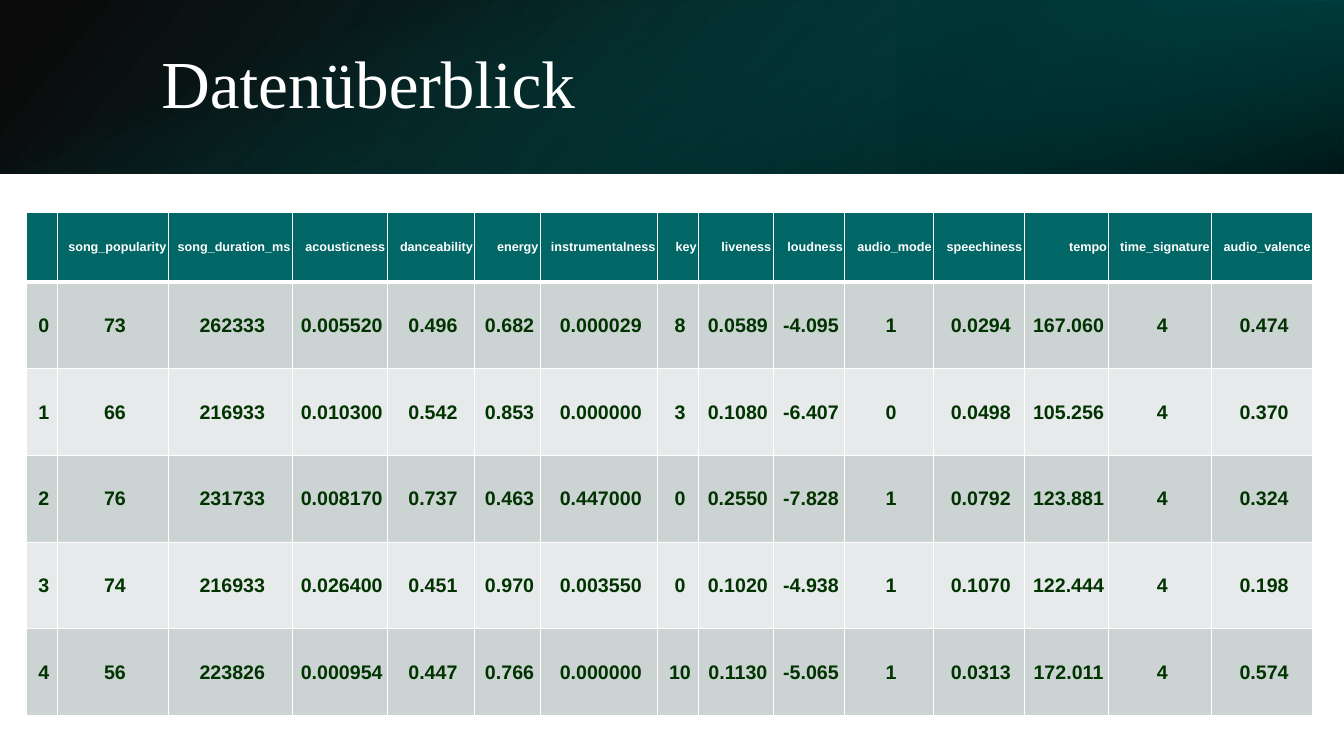
import dataclasses

import lxml.etree
import pptx
import pptx.dml.color
import pptx.enum.shapes
import pptx.enum.text
import pptx.oxml.ns
import pptx.util

Inches = pptx.util.Inches
Pt = pptx.util.Pt
RGB = pptx.dml.color.RGBColor.from_string
qn = pptx.oxml.ns.qn
ALIGN = pptx.enum.text.PP_ALIGN
MIDDLE = pptx.enum.text.MSO_ANCHOR.MIDDLE


@dataclasses.dataclass(frozen=True)
class Theme:
    white: str = "FFFFFF"
    black: str = "000000"
    teal: str = "006666"
    mid_teal: str = "004C4D"
    deep_teal: str = "003333"
    dark_row: str = "CCD3D3"
    light_row: str = "E7EAEA"
    value_text: str = "003300"
    title_font: str = "Times New Roman"
    table_font: str = "Arial"
    title_size: int = 48
    header_size: int = 9
    value_size: int = 14


theme = Theme()


def style_text(paragraph, font_name, size, color, bold):
    for run in paragraph.runs:
        run.font.name = font_name
        run.font.size = Pt(size)
        run.font.bold = bold
        run.font.color.rgb = RGB(color)


def add_border(cell, side, width):
    line = lxml.etree.SubElement(cell._tc.get_or_add_tcPr(), qn(f"a:ln{side}"), w=str(Pt(width)))
    fill = lxml.etree.SubElement(line, qn("a:solidFill"))
    lxml.etree.SubElement(fill, qn("a:srgbClr"), val=theme.white)


presentation = pptx.Presentation()
presentation.slide_width = Inches(13.33)
presentation.slide_height = Inches(7.5)
slide = presentation.slides.add_slide(presentation.slide_layouts[5])

# Header band: layered gradients as (box, rotation, flipped, clockwise angle, stops)
# with each stop given as (position, colour, opacity in percent)
band_layers = [
    ((0, 0, 13.33, 1.72), 0, True, 140,
     [(0, theme.black, 96), (100, theme.mid_teal, 100)]),
    ((8.89, 0, 4.44, 1.72), 180, True, 320,
     [(19, theme.deep_teal, 68), (100, theme.teal, 79)]),
    ((5.8, -5.8, 1.72, 13.33), 90, False, 340,
     [(23, theme.teal, 0), (99, theme.black, 74)]),
]
for box, rotation, flipped, angle, stops in band_layers:
    layer = slide.shapes.add_shape(
        pptx.enum.shapes.MSO_SHAPE.RECTANGLE, *[Inches(length) for length in box])
    layer.shadow.inherit = False
    layer.line.fill.background()
    layer.rotation = rotation
    if flipped:
        layer.element.spPr.find(qn("a:xfrm")).set("flipH", "1")
    layer.fill.gradient()
    layer.fill.gradient_angle = 360 - angle
    for stop, (position, color, opacity) in zip(layer.fill.gradient_stops, stops):
        stop.position = position / 100
        stop.color.rgb = RGB(color)
    for color_node, (_, _, opacity) in zip(layer.element.spPr.iter(qn("a:srgbClr")), stops):
        lxml.etree.SubElement(color_node, qn("a:alpha"), val=str(opacity * 1000))

# Title, brought in front of the band
title = slide.shapes.title
title.element.getparent().append(title.element)
title.left, title.top = Inches(1.5), Inches(0.38)
title.width, title.height = Inches(10.98), Inches(0.96)
title.text_frame.text = "Datenüberblick"
title.text_frame.word_wrap = True
title.text_frame.auto_size = pptx.enum.text.MSO_AUTO_SIZE.NONE
title.text_frame.vertical_anchor = MIDDLE
heading = title.text_frame.paragraphs[0]
heading.alignment = ALIGN.LEFT
heading.line_spacing = 0.9
style_text(heading, theme.title_font, theme.title_size, theme.white, False)

# Song data: column name, width, one value per song
song_columns = [
    ("", 0.31, ["0", "1", "2", "3", "4"]),
    ("song_popularity", 1.1, ["73", "66", "76", "74", "56"]),
    ("song_duration_ms", 1.23, ["262333", "216933", "231733", "216933", "223826"]),
    ("acousticness", 0.94, ["0.005520", "0.010300", "0.008170", "0.026400", "0.000954"]),
    ("danceability", 0.87, ["0.496", "0.542", "0.737", "0.451", "0.447"]),
    ("energy", 0.65, ["0.682", "0.853", "0.463", "0.970", "0.766"]),
    ("instrumentalness", 1.16, ["0.000029", "0.000000", "0.447000", "0.003550", "0.000000"]),
    ("key", 0.41, ["8", "3", "0", "0", "10"]),
    ("liveness", 0.74, ["0.0589", "0.1080", "0.2550", "0.1020", "0.1130"]),
    ("loudness", 0.71, ["-4.095", "-6.407", "-7.828", "-4.938", "-5.065"]),
    ("audio_mode", 0.88, ["1", "0", "1", "1", "1"]),
    ("speechiness", 0.9, ["0.0294", "0.0498", "0.0792", "0.1070", "0.0313"]),
    ("tempo", 0.84, ["167.060", "105.256", "123.881", "122.444", "172.011"]),
    ("time_signature", 1.02, ["4", "4", "4", "4", "4"]),
    ("audio_valence", 1, ["0.474", "0.370", "0.324", "0.198", "0.574"]),
]
song_table = slide.shapes.add_table(
    6, len(song_columns), Inches(0.26), Inches(2.11), Inches(12.74), Inches(5.01)).table
for row_index, row in enumerate(song_table.rows):
    row.height = Inches(0.86 if row_index else 0.69)

# Table cells
for column_index, (name, width, values) in enumerate(song_columns):
    song_table.columns[column_index].width = Inches(width)
    for row_index, text in enumerate([name, *values]):
        cell = song_table.cell(row_index, column_index)
        is_header = row_index == 0
        cell.text_frame.text = text
        cell.vertical_anchor = MIDDLE
        cell.margin_left, cell.margin_right = Inches(0.06), Inches(0.02)
        cell.margin_top = cell.margin_bottom = Inches(0.05)
        entry = cell.text_frame.paragraphs[0]
        entry.alignment = ALIGN.RIGHT if is_header else ALIGN.CENTER
        style_text(entry, theme.table_font,
                   theme.header_size if is_header else theme.value_size,
                   theme.white if is_header else theme.value_text, True)
        for side, border in (("L", 1), ("R", 1), ("T", 3 if row_index == 1 else 1),
                             ("B", 3 if is_header else 1)):
            add_border(cell, side, border)
        cell.fill.solid()
        band_color = theme.dark_row if row_index % 2 else theme.light_row
        cell.fill.fore_color.rgb = RGB(theme.teal if is_header else band_color)

presentation.save("out.pptx")
